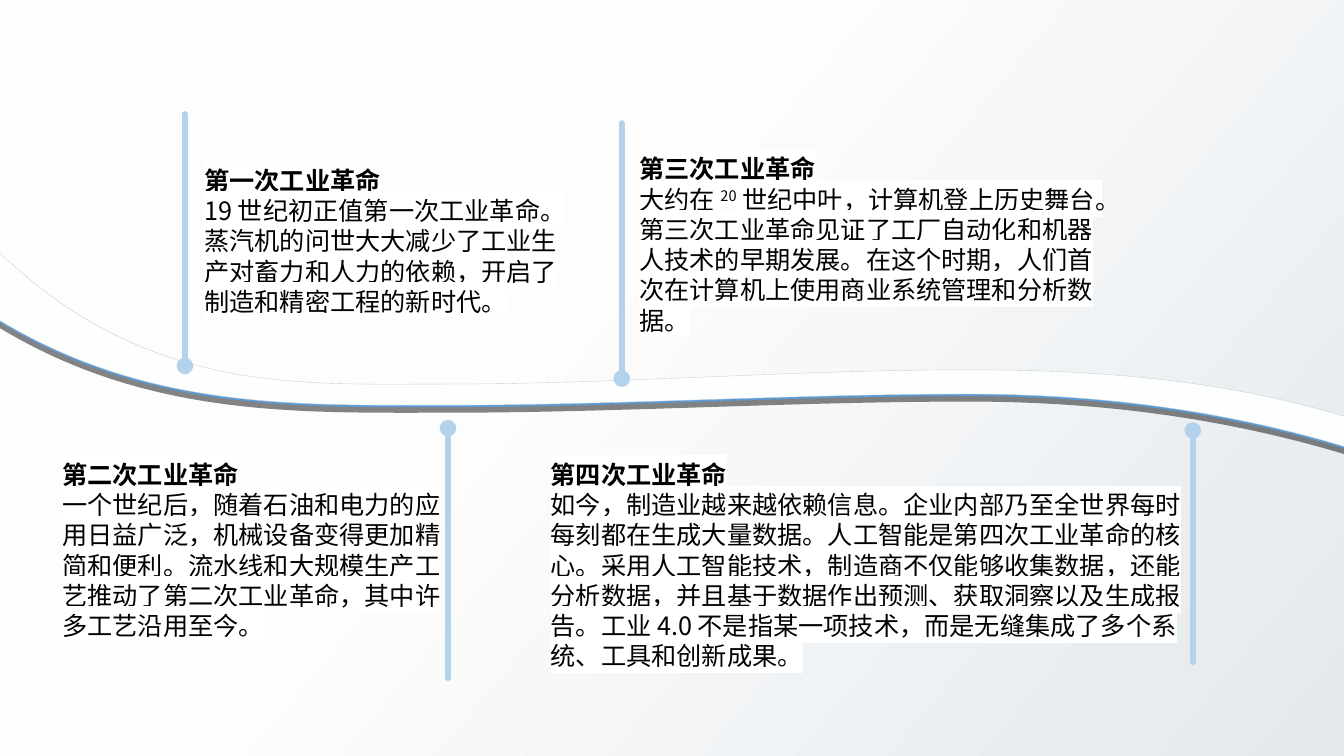
from lxml import etree
from pptx import Presentation
from pptx.dml.color import RGBColor
from pptx.enum.shapes import MSO_CONNECTOR
from pptx.oxml.ns import qn
from pptx.util import Cm, Pt

STRAIGHT = MSO_CONNECTOR.STRAIGHT
FONT = "Noto Sans CJK SC"
WIDTH, HEIGHT = 33.87, 19.05
RIBBON_BOX = (-6.05, 5.16, 50.14, 9.67)
TOP_EDGE = [(-6.05, 5.16, 0), (0, 6.38, 0.95), (11.2, 9.68, 0),
            (24.4, 9.32, 0), (33.87, 10.49, 0.3), (44.09, 14.2, 0.4)]
BOTTOM_EDGE = [(-6.05, 6.6, 0.3), (0, 8.08, 0.6), (11.2, 10.21, 0),
               (24.4, 9.93, 0), (33.87, 11.25, 0.3), (44.09, 14.83, 0.4)]

EVENTS = [
    (15.67, 9.54, 3.1, (15.86, 3.75, 12.17, 4.88), "第三次工业革命",
     ["大约在 ", "20", " 世纪中叶，计算机登上历史舞台。第三次工业革命见证了工厂自动化和机器人技术的早期发展。"
      "在这个时期，人们首次在计算机上使用商业系统管理和分析数据。"]),
    (4.66, 9.22, 2.87, (4.9, 4.04, 9.93, 4.88), "第一次工业革命",
     ["19 世纪初正值第一次工业革命。蒸汽机的问世大大减少了工业生产对畜力和人力的依赖，"
      "开启了制造和精密工程的新时代。"]),
    (11.29, 10.79, 17.09, (1.32, 11.45, 10.24, 5.64), "第二次工业革命",
     ["一个世纪后，随着石油和电力的应用日益广泛，机械设备变得更加精简和便利。"
      "流水线和大规模生产工艺推动了第二次工业革命，其中许多工艺沿用至今。"]),
    (30.06, 10.85, 16.69, (13.63, 11.45, 16.66, 6.4), "第四次工业革命",
     ["如今，制造业越来越依赖信息。企业内部乃至全世界每时每刻都在生成大量数据。"
      "人工智能是第四次工业革命的核心。采用人工智能技术，制造商不仅能够收集数据，还能分析数据，"
      "并且基于数据作出预测、获取洞察以及生成报告。工业 4.0 不是指某一项技术，"
      "而是无缝集成了多个系统、工具和创新成果。"]),
]


def rgb(value):
    """Return the colour for a hex string."""
    return RGBColor.from_string(value)


def draw_to(path, command, points):
    """Append a path command with points relative to the ribbon box."""
    node = etree.SubElement(path, qn("a:" + command))
    for x, y in points:
        etree.SubElement(node, qn("a:pt"), x=str(int(Cm(x - RIBBON_BOX[0]))),
                         y=str(int(Cm(y - RIBBON_BOX[1]))))


def draw_edge(path, knots):
    """Append smooth curves through knots of x, y and slope."""
    for (x0, y0, m0), (x1, y1, m1) in zip(knots, knots[1:]):
        h = (x1 - x0) / 3
        draw_to(path, "cubicBezTo", [(x0 + h, y0 + m0 * h), (x1 - h, y1 - m1 * h), (x1, y1)])


def band(group, drop, color):
    """Draw one curved band, moved down by drop."""
    left, top, width, height = RIBBON_BOX
    builder = group.shapes.build_freeform(Cm(left), Cm(top + drop))
    builder.add_line_segments([(Cm(left + width), Cm(top + drop + height))])
    sp = builder.convert_to_shape()
    path = next(sp._element.iter(qn("a:path")))
    for child in list(path):
        path.remove(child)
    draw_to(path, "moveTo", [TOP_EDGE[0][:2]])
    draw_edge(path, TOP_EDGE)
    draw_to(path, "lnTo", [BOTTOM_EDGE[-1][:2]])
    draw_edge(path, BOTTOM_EDGE[::-1])
    etree.SubElement(path, qn("a:close"))
    sp.shadow.inherit = False
    sp.fill.solid()
    sp.fill.fore_color.rgb = rgb(color)
    sp.line.fill.background()
    return sp


def ribbon(s):
    """Draw the wavy timeline with its blue edge and grey shadow."""
    group = s.shapes.add_group_shape()
    back = band(group, 0.05, "5B9BD5")
    effects = back._element.spPr.find(qn("a:effectLst"))
    shadow = etree.SubElement(effects, qn("a:outerShdw"), dist=str(int(Pt(4))),
                              dir="5400000", algn="t", rotWithShape="0")
    color = etree.SubElement(shadow, qn("a:srgbClr"), val="000000")
    etree.SubElement(color, qn("a:alpha"), val="47000")
    front = band(group, 0, "FDFFFF")
    front.line.color.rgb = rgb("C8CCCC")
    front.line.width = Pt(0.25)


def add_run(p, text, raised=False):
    """Add a highlighted run, raised if asked."""
    r = p.add_run()
    r.text = text
    r.font.color.rgb = rgb("000000")
    rPr = r.font._element
    highlight = etree.SubElement(rPr, qn("a:highlight"))
    etree.SubElement(highlight, qn("a:srgbClr"), val="FFFFFF")
    if raised:
        rPr.set("baseline", "30000")


def event(s, x, dot_y, end_y, box, title, body):
    """Draw one event: a stem with a dot and a text block."""
    group = s.shapes.add_group_shape()
    stem = group.shapes.add_connector(STRAIGHT, Cm(x), Cm(dot_y), Cm(x), Cm(end_y))
    stem.line.color.rgb = rgb("B5D2EC")
    stem.line.width = Pt(4)
    ln = stem.line._get_or_add_ln()
    ln.set("cap", "rnd")
    etree.SubElement(ln, qn("a:headEnd"), type="oval")
    etree.SubElement(stem._element.spPr, qn("a:effectLst"))

    tf = group.shapes.add_textbox(*map(Cm, box)).text_frame
    tf.word_wrap = True
    for i, parts in enumerate([[title], body]):
        p = tf.add_paragraph() if i else tf.paragraphs[0]
        for k, text in enumerate(parts):
            add_run(p, text, raised=k == 1)
        p.line_spacing = Pt(21.6)
        p.font.size = Pt(18)
        p.font.bold = i == 0
        p.font.name = FONT
        etree.SubElement(p.font._element, qn("a:ea"), typeface=FONT)


def background(s):
    """Shade the slide from the lower right corner."""
    fill = s.background.fill
    fill.gradient()
    fill.gradient_angle = 140
    for stop, (position, color) in zip(fill.gradient_stops, [(0, "E3E8EC"), (0.6, "FDFDFD")]):
        stop.position = position
        stop.color.rgb = rgb(color)


def main():
    """Build and save the slide."""
    prs = Presentation()
    prs.slide_width, prs.slide_height = Cm(WIDTH), Cm(HEIGHT)
    s = prs.slides.add_slide(prs.slide_layouts[6])
    background(s)
    ribbon(s)
    for item in EVENTS:
        event(s, *item)
    prs.save("out.pptx")


if __name__ == "__main__":
    main()
